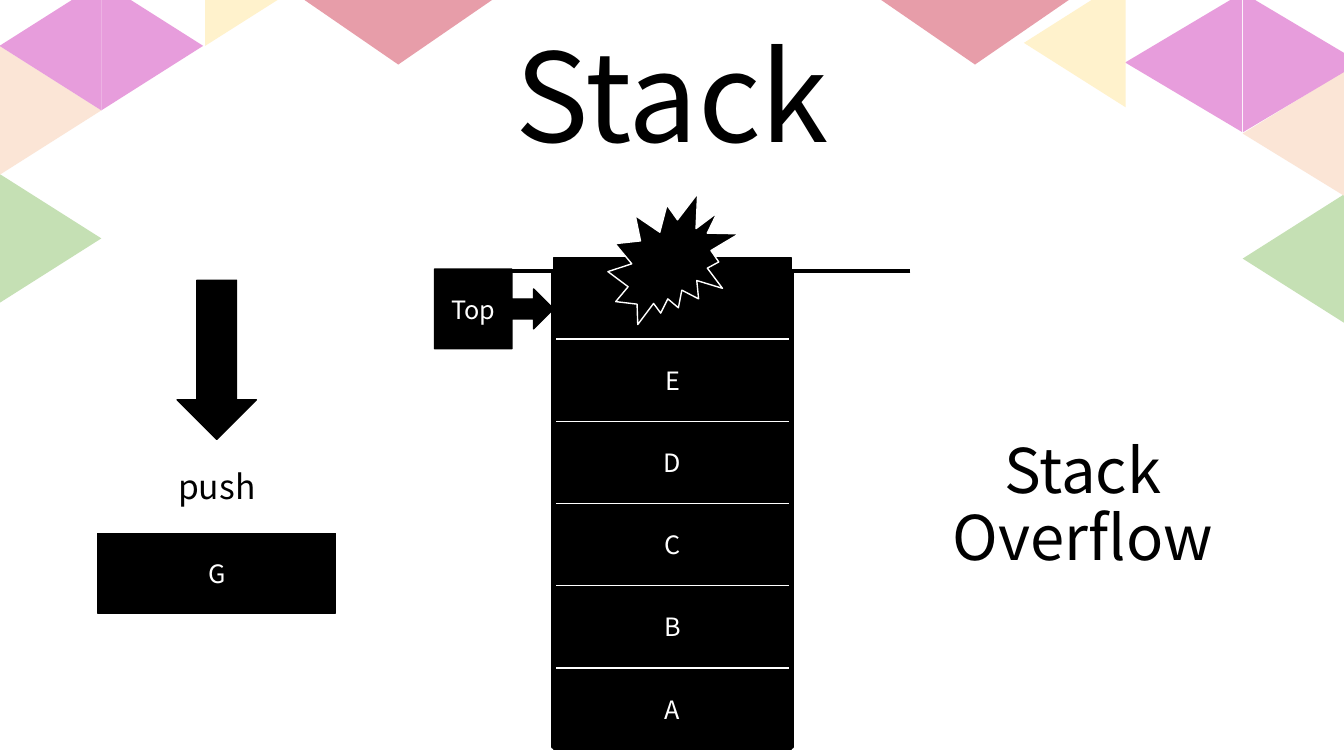
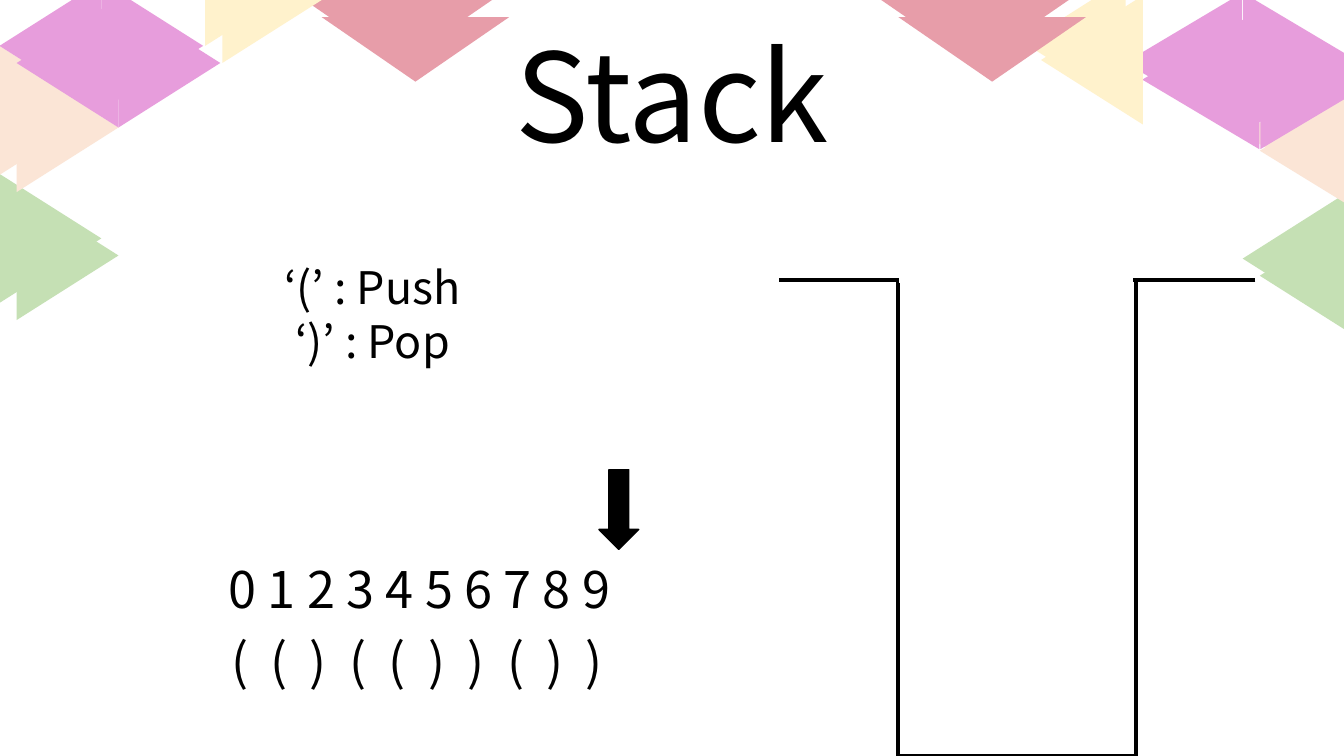
from lxml.etree import SubElement
from pptx import Presentation
from pptx.dml.color import RGBColor
from pptx.enum.shapes import MSO_CONNECTOR, MSO_SHAPE
from pptx.enum.text import MSO_ANCHOR, MSO_AUTO_SIZE, PP_ALIGN
from pptx.oxml.ns import qn
from pptx.util import Inches, Pt

# Content; the top cell has no label
TITLE = "Stack"
STACK_ITEMS = [None, "E", "D", "C", "B", "A"]
NEXT_ITEM = "G"
OVERFLOW = ["Stack", "Overflow"]
RULES = ["‘(’ : Push", "‘)’ : Pop"]
POSITIONS = "0123456789"
BRACKETS = "(()(())())"

# Shared style
FONT = "Noto Sans CJK KR"
BLACK, WHITE = "000000", "FFFFFF"
GREEN, PEACH, PURPLE = "C5E0B4", "FBE5D6", "E79DDC"
YELLOW, ROSE = "FFF2CC", "E79DA9"

# Shared measures in inches
SLIDE_WIDTH, SLIDE_HEIGHT = 13.33, 7.5
CELL_WIDTH, CELL_HEIGHT = 2.36, 0.79
WELL_HEIGHT = 2 * CELL_WIDTH
LIP = CELL_WIDTH / 2
TITLE_BOX = (2.63, 0.26, 8.07, 1.47)

# Corner triangles: left, top, width, height, rotation, colour
SMALL, LARGE, FLAT = (1.28, 1.01), (1.38, 1.16), (1.86, 0.64)
TRIANGLES = [
    (-0.14, 1.86, *SMALL, 90, GREEN),
    (-0.14, 0.59, *SMALL, 90, PEACH),
    (-0.14, -0.05, *SMALL, 270, PURPLE),
    (0.87, -0.05, *SMALL, 90, PURPLE),
    (1.9, -0.69, *SMALL, 90, YELLOW),
    (3.02, 0, *FLAT, 180, ROSE),
    (8.74, 0, *FLAT, 180, ROSE),
    (11.05, 0.04, *LARGE, 270, PURPLE),
    (10.02, -0.08, *SMALL, 270, YELLOW),
    (12.19, 2.06, *SMALL, 270, GREEN),
    (12.21, 0.82, 1.24, 1.01, 270, PEACH),
    (12.22, 0.04, *LARGE, 90, PURPLE),
]


def color(value):
    return RGBColor.from_string(value)


def inches(box):
    return [Inches(length) for length in box]


def write(shape, lines, size, text_color=BLACK, anchor=MSO_ANCHOR.MIDDLE,
          line_spacing=1.0, letter_spacing=0):
    frame = shape.text_frame
    frame.word_wrap = True
    frame.auto_size = MSO_AUTO_SIZE.NONE
    frame.vertical_anchor = anchor
    for index, line in enumerate(lines):
        paragraph = frame.add_paragraph() if index else frame.paragraphs[0]
        paragraph.alignment = PP_ALIGN.CENTER
        paragraph.line_spacing = line_spacing
        run = paragraph.add_run()
        run.text = line
        run.font.size = Pt(size)
        run.font.name = FONT
        run.font.color.rgb = color(text_color)
        properties = run._r.get_or_add_rPr()
        SubElement(properties, qn("a:ea")).set("typeface", FONT)
        if letter_spacing:
            properties.set("spc", str(letter_spacing * 100))


def add_text(slide, box, lines, size, **style):
    write(slide.shapes.add_textbox(*inches(box)), lines, size, **style)


def add_block(shapes, kind, box, fill=BLACK, line=BLACK, line_width=1, label=None):
    shape = shapes.add_shape(kind, *inches(box))
    shape.shadow.inherit = False
    shape.fill.solid()
    shape.fill.fore_color.rgb = color(fill)
    if line:
        shape.line.color.rgb = color(line)
        shape.line.width = Pt(line_width)
    else:
        shape.line.fill.background()
    if label:
        write(shape, [label], 18, WHITE)
    return shape


def add_line(shapes, start, end, y, line=BLACK, line_width=3):
    connector = shapes.add_connector(
        MSO_CONNECTOR.STRAIGHT, *inches((start, y, end, y)))
    connector.line.color.rgb = color(line)
    connector.line.width = Pt(line_width)
    SubElement(connector._element.spPr, qn("a:effectLst"))


def add_well(slide, left, top, is_open):
    shapes = slide.shapes.add_group_shape().shapes
    right = left + CELL_WIDTH
    add_block(shapes, MSO_SHAPE.RECTANGLE, (left, top, CELL_WIDTH, WELL_HEIGHT),
              WHITE, BLACK, 3)
    add_line(shapes, left, left - LIP, top)
    add_line(shapes, right + LIP, right, top)
    if is_open:
        add_line(shapes, right - 0.03, left + 0.01, top - 0.01, WHITE, 6)


def add_triangles(slide, shift=0):
    for left, top, width, height, rotation, fill in TRIANGLES:
        triangle = add_block(slide.shapes, MSO_SHAPE.ISOSCELES_TRIANGLE,
                             (left + shift, top + shift, width, height), fill, None)
        triangle.rotation = rotation


def add_stack_slide(presentation):
    slide = presentation.slides.add_slide(presentation.slide_layouts[5])
    title = slide.shapes.title
    title.left, title.top, title.width, title.height = inches(TITLE_BOX)
    write(title, [TITLE], 88, anchor=MSO_ANCHOR.BOTTOM, line_spacing=0.9)
    return slide


presentation = Presentation()
presentation.slide_width = Inches(SLIDE_WIDTH)
presentation.slide_height = Inches(SLIDE_HEIGHT)

# Slide 1: pushing onto a full stack
slide = add_stack_slide(presentation)
well_left, first_top, last_top = 5.49, 2.56, 6.64
add_well(slide, well_left, 2.69, is_open=False)
row_pitch = (last_top - first_top) / (len(STACK_ITEMS) - 1)
for row, item in enumerate(STACK_ITEMS):
    add_block(slide.shapes, MSO_SHAPE.RECTANGLE,
              (well_left, first_top + row * row_pitch, CELL_WIDTH, CELL_HEIGHT),
              label=item)

push_left = 0.97
add_block(slide.shapes, MSO_SHAPE.DOWN_ARROW,
          (push_left + CELL_WIDTH / 3, 2.78, CELL_WIDTH / 3, 2 * CELL_HEIGHT))
add_text(slide, (push_left, 4.43, CELL_WIDTH, CELL_HEIGHT), ["push"], 24)
add_block(slide.shapes, MSO_SHAPE.RECTANGLE,
          (push_left, 5.29, CELL_WIDTH, CELL_HEIGHT), label=NEXT_ITEM)

add_block(slide.shapes, MSO_SHAPE.EXPLOSION2, (6.03, 1.92, 1.3, 1.3), line=WHITE)
add_text(slide, (8.5, 4.27, 4.48, 1.47), OVERFLOW, 44,
         anchor=MSO_ANCHOR.BOTTOM, line_spacing=0.9)
add_block(slide.shapes, MSO_SHAPE.RIGHT_ARROW_CALLOUT,
          (well_left - LIP, 2.67, LIP, CELL_HEIGHT), label="Top")
add_triangles(slide)

# Slide 2: matching brackets with an empty stack
slide = add_stack_slide(presentation)
add_text(slide, (0, 5.49, 8.32, 0.71), [" ".join(POSITIONS)], 36,
         anchor=MSO_ANCHOR.TOP)
add_well(slide, 8.91, SLIDE_HEIGHT - WELL_HEIGHT, is_open=True)
add_block(slide.shapes, MSO_SHAPE.DOWN_ARROW,
          (5.94, 4.66, CELL_HEIGHT / 2, CELL_HEIGHT))
add_text(slide, (1.19, 2.53, 5.01, 1.18), RULES, 32, anchor=MSO_ANCHOR.TOP)
add_text(slide, (-0.02, 6.2, 8.32, 0.71), [" ".join(BRACKETS)], 36,
         anchor=MSO_ANCHOR.TOP, letter_spacing=4)
for shift in (0, 0.17):
    add_triangles(slide, shift)

presentation.save("out.pptx")
